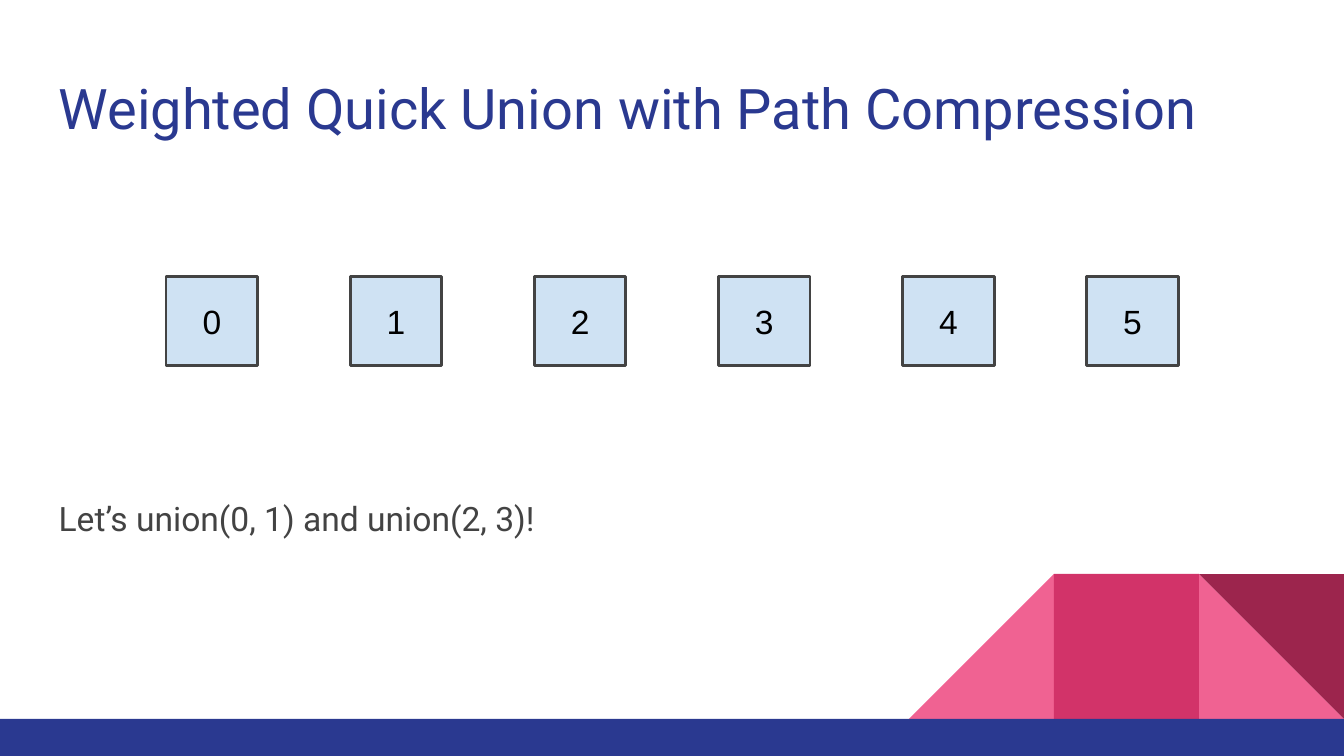
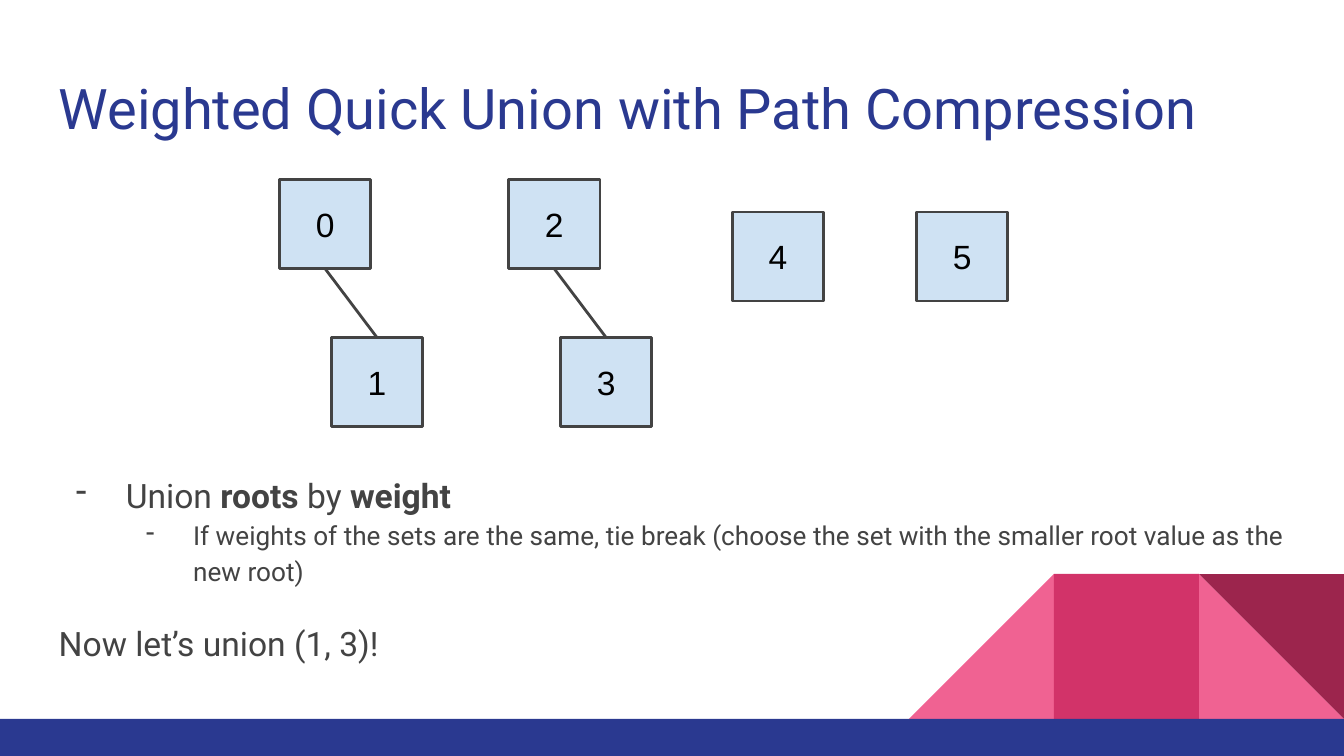
import dataclasses
import typing

import lxml.etree
import pptx
import pptx.dml.color
import pptx.enum.shapes
import pptx.enum.text
import pptx.oxml.ns
import pptx.util

Cm = pptx.util.Cm
Pt = pptx.util.Pt
KIND = pptx.enum.shapes.MSO_SHAPE
TITLE = "Weighted Quick Union with Path Compression"
COLORS = {
    "navy": "2A3990",
    "gray": "434343",
    "pale": "CFE2F3",
    "black": "000000",
    "pink": "F06292",
    "rose": "D23369",
    "wine": "9C254D",
}
WIDTH, HEIGHT = 25.4, 14.29
EDGE, SPAN = 0.86, 23.67
INSET = 0.25
SIDE = 2.74
BAND = 13.59
NODE_W, NODE_H = 1.73, 1.68
STEP = 3.48
PAIR = 4.33
DROP_X, DROP_Y = 0.98, 2.98


@dataclasses.dataclass
class Block:
    kind: typing.Any
    left: float
    top: float
    width: float
    height: float
    fill: str
    turn: int = 0


@dataclasses.dataclass
class Node:
    label: str
    left: float
    top: float


@dataclasses.dataclass
class Para:
    words: list[tuple[str, bool]]
    size: int = 18
    font: str = "Roboto"
    color: str = "gray"
    lines: float = 1.15
    before: int = 0
    after: int = 0
    level: int = 0
    indent: float = 0
    hang: float = 0


def column(index: int) -> float:
    return WIDTH - (3 - index) * SIDE


DECOR = [
    Block(KIND.RIGHT_TRIANGLE, column(2), BAND - SIDE, SIDE, SIDE, "pink"),
    Block(KIND.RIGHT_TRIANGLE, column(0), BAND - SIDE, SIDE, SIDE, "pink", 270),
    Block(KIND.RECTANGLE, column(1), BAND - SIDE, SIDE, SIDE, "rose"),
    Block(KIND.RIGHT_TRIANGLE, column(2), BAND - SIDE, SIDE, SIDE, "wine", 180),
    Block(KIND.RECTANGLE, 0, BAND, WIDTH, HEIGHT - BAND, "navy"),
]


def color(name: str) -> pptx.dml.color.RGBColor:
    return pptx.dml.color.RGBColor.from_string(COLORS[name])


def draw_block(slide: typing.Any, block: Block) -> typing.Any:
    shape = slide.shapes.add_shape(
        block.kind, Cm(block.left), Cm(block.top), Cm(block.width), Cm(block.height)
    )
    shape.shadow.inherit = False
    shape.fill.solid()
    shape.fill.fore_color.rgb = color(block.fill)
    shape.line.fill.background()
    shape.rotation = block.turn
    return shape


def set_frame(frame: typing.Any) -> None:
    frame.word_wrap = True
    frame.margin_left = frame.margin_right = Cm(INSET)
    frame.margin_top = frame.margin_bottom = Cm(INSET)


def add_dash(para: typing.Any, item: Para) -> None:
    props = para._p.get_or_add_pPr()
    props.set("marL", str(Cm(item.indent)))
    props.set("indent", str(Cm(-item.hang)))
    qn = pptx.oxml.ns.qn
    tint = lxml.etree.SubElement(props, qn("a:buClr"))
    lxml.etree.SubElement(tint, qn("a:srgbClr"), val=COLORS[item.color])
    lxml.etree.SubElement(props, qn("a:buChar"), char="-")


def write_para(para: typing.Any, item: Para) -> None:
    if item.hang:
        add_dash(para, item)
    para.level = item.level
    para.line_spacing = item.lines
    para.space_before = Pt(item.before)
    para.space_after = Pt(item.after)
    para.font.name = item.font
    para.font.size = Pt(item.size)
    para.font.color.rgb = color(item.color)
    for text, bold in item.words:
        run = para.add_run()
        run.text = text
        if bold:
            run.font.bold = True


def add_text(slide: typing.Any, top: float, height: float, items: list[Para]) -> None:
    frame = slide.shapes.add_textbox(
        Cm(EDGE), Cm(top), Cm(SPAN), Cm(height)
    ).text_frame
    set_frame(frame)
    for index, item in enumerate(items):
        para = frame.add_paragraph() if index else frame.paragraphs[0]
        write_para(para, item)


def draw_node(slide: typing.Any, node: Node) -> typing.Any:
    block = Block(KIND.RECTANGLE, node.left, node.top, NODE_W, NODE_H, "pale")
    shape = draw_block(slide, block)
    shape.line.color.rgb = color("gray")
    shape.line.width = Pt(1.5)
    frame = shape.text_frame
    set_frame(frame)
    frame.vertical_anchor = pptx.enum.text.MSO_ANCHOR.MIDDLE
    para = frame.paragraphs[0]
    para.alignment = pptx.enum.text.PP_ALIGN.CENTER
    write_para(para, Para([(node.label, False)], font="Arial", color="black", lines=1.0))
    return shape


def link(slide: typing.Any, root: typing.Any, child: typing.Any) -> None:
    line = slide.shapes.add_connector(
        pptx.enum.shapes.MSO_CONNECTOR.STRAIGHT, Cm(0), Cm(0), Cm(0), Cm(0)
    )
    line.begin_connect(root, 2)
    line.end_connect(child, 0)
    line.line.color.rgb = color("gray")
    line.line.width = Pt(1.5)
    lxml.etree.SubElement(line._element.spPr, pptx.oxml.ns.qn("a:effectLst"))


def add_slide(deck: typing.Any) -> typing.Any:
    slide = deck.slides.add_slide(deck.slide_layouts[6])
    for block in DECOR:
        draw_block(slide, block)
    title = Para([(TITLE, False)], size=30, color="navy", lines=1.0)
    add_text(slide, 1.14, 1.68, [title])
    return slide


def build_start(deck: typing.Any) -> None:
    slide = add_slide(deck)
    add_text(
        slide, 9.04, 3.66, [Para([("Let’s union(0, 1) and union(2, 3)!", False)], after=16)]
    )
    for index in range(6):
        draw_node(slide, Node(str(index), 3.14 + index * STEP, 5.23))


def build_pairs(deck: typing.Any) -> None:
    slide = add_slide(deck)
    rule = [("Union ", False), ("roots ", True), ("by ", False), ("weight", True)]
    tie = (
        "If weights of the sets are the same, tie break "
        "(choose the set with the smaller root value as the new root)"
    )
    add_text(
        slide,
        8.61,
        2.36,
        [
            Para(rule, indent=1.27, hang=0.95),
            Para([(tie, False)], size=14, level=1, indent=2.54, hang=0.89),
            Para([("Now let’s union (1, 3)!", False)], before=16, after=16),
        ],
    )
    for index in range(2):
        left, top = 5.28 + index * PAIR, 3.4
        root = draw_node(slide, Node(str(2 * index), left, top))
        child = draw_node(slide, Node(str(2 * index + 1), left + DROP_X, top + DROP_Y))
        link(slide, root, child)
        draw_node(slide, Node(str(4 + index), 13.84 + index * STEP, 4.01))


def main() -> None:
    deck = pptx.Presentation()
    deck.slide_width = Cm(WIDTH)
    deck.slide_height = Cm(HEIGHT)
    build_start(deck)
    build_pairs(deck)
    deck.save("out.pptx")


if __name__ == "__main__":
    main()
